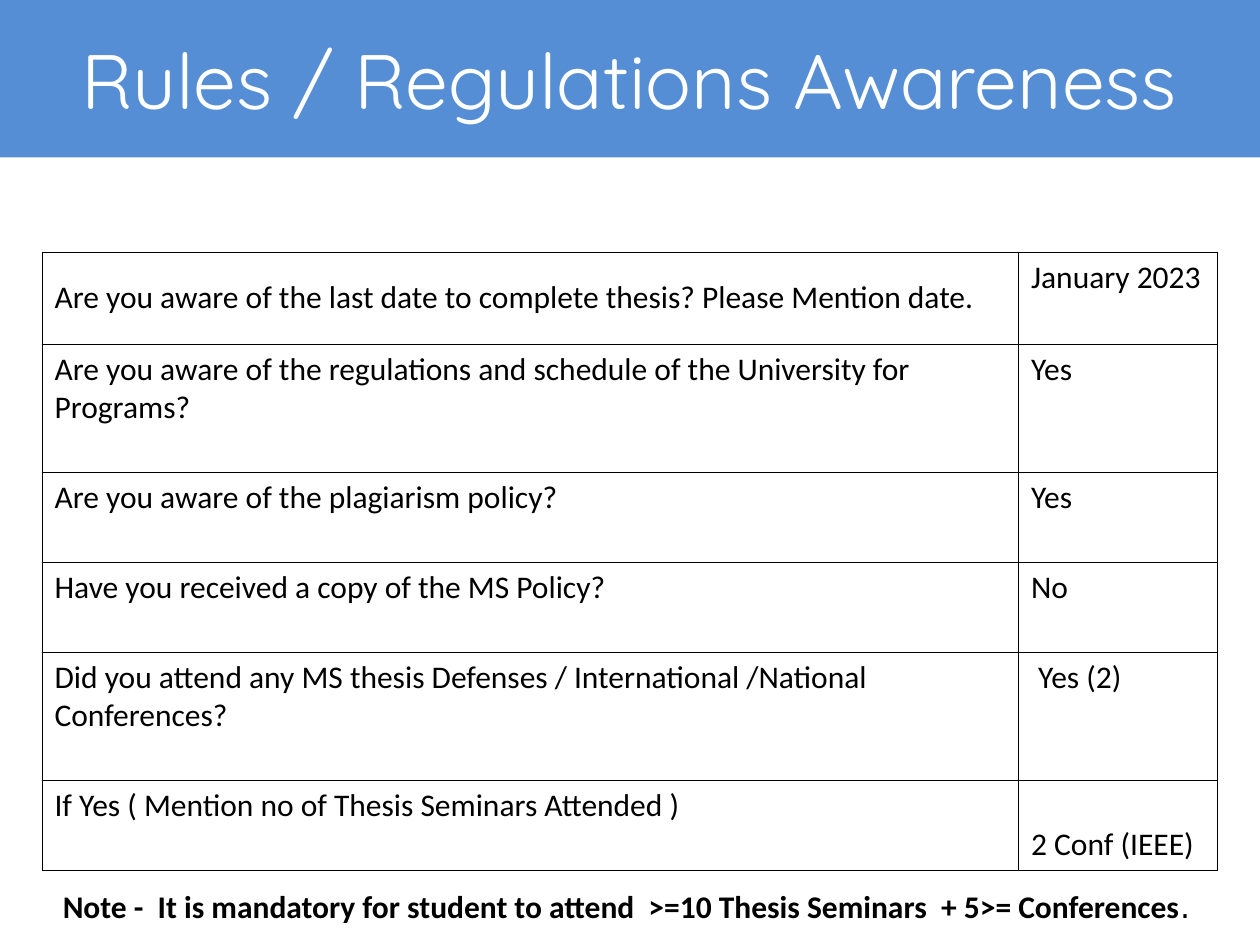
"""Builds the Rules / Regulations Awareness slide."""
from dataclasses import dataclass

from lxml.etree import SubElement
from pptx import Presentation
from pptx.dml.color import RGBColor as RGB
from pptx.enum.shapes import MSO_SHAPE as SHAPE
from pptx.enum.text import MSO_ANCHOR as ANCHOR, MSO_AUTO_SIZE as AUTO, PP_ALIGN as ALIGN
from pptx.oxml.ns import qn
from pptx.util import Inches, Pt


@dataclass(frozen=True)
class Theme:
    """Colours, fonts and type sizes of the slide."""
    band: RGB = RGB(0x55, 0x8E, 0xD5)
    ink: RGB = RGB(0, 0, 0)
    paper: RGB = RGB(255, 255, 255)
    title_font: str = "Quicksand"
    body_font: str = "Calibri"
    stop_font: str = "DejaVu Sans"
    title_size: Pt = Pt(44)
    body_size: Pt = Pt(18)
    rule: Pt = Pt(0.45)


T = Theme()
W, H = Inches(10), Inches(7.5)
COLS = (0.775, 0.158)
TALL, SHORT = 0.136, 0.095
TOP, MIDDLE, BOTTOM = ANCHOR.TOP, ANCHOR.MIDDLE, ANCHOR.BOTTOM
BODY = {"name": T.body_font, "size": T.body_size, "bold": False}
ROWS = (
    (0.0975, "Are you aware of the last date to complete thesis? Please Mention date.", MIDDLE,
     "January 2023", TOP),
    (TALL, "Are you aware of the regulations and schedule of the University for Programs?", TOP,
     "Yes", TOP),
    (SHORT, "Are you aware of the plagiarism policy?", TOP, "Yes", TOP),
    (SHORT, "Have you received a copy of the MS Policy?", TOP, "No", TOP),
    (TALL, "Did you attend any MS thesis Defenses / International /National Conferences?", TOP,
     " Yes (2)", TOP),
    (SHORT, "If Yes ( Mention no of Thesis Seminars Attended )", TOP, "2 Conf (IEEE)", BOTTOM),
)
NOTE = "Note -  It is mandatory for student to attend  >=10 Thesis Seminars  + 5>= Conferences"


def box(x, y, w, h):
    """Turn shares of the slide into a position and size."""
    return int(x * W), int(y * H), int(w * W), int(h * H)


def add_run(p, text, fmt, color=T.ink):
    """Add a run and set its font from a dict."""
    r = p.add_run()
    r.text = text
    for key, value in fmt.items():
        setattr(r.font, key, value)
    r.font.color.rgb = color


def add_title(s, text):
    """Add the coloured title band."""
    sp = s.shapes.add_shape(SHAPE.RECTANGLE, *box(0, 0, 1, 1 / 6))
    sp.shadow.inherit = False
    sp.fill.solid()
    sp.fill.fore_color.rgb = T.band
    sp.line.fill.background()
    tf = sp.text_frame
    tf.vertical_anchor = MIDDLE
    p = tf.paragraphs[0]
    p.alignment = ALIGN.CENTER
    add_run(p, text, {"name": T.title_font, "size": T.title_size}, T.paper)


def add_borders(cell):
    """Rule all four sides of a cell."""
    pr = cell._tc.get_or_add_tcPr()
    for side in ("lnL", "lnR", "lnT", "lnB"):
        ln = SubElement(pr, qn(f"a:{side}"), w=str(T.rule))
        fill = SubElement(ln, qn("a:solidFill"))
        SubElement(fill, qn("a:srgbClr"), val=str(T.ink))


def fill_cell(cell, text, anchor):
    """Write one cell with its borders and a clear fill."""
    add_borders(cell)
    cell.fill.background()
    cell.vertical_anchor = anchor
    add_run(cell.text_frame.paragraphs[0], text, BODY)


def add_questions(s):
    """Add the table of questions and answers."""
    height = sum(row[0] for row in ROWS)
    frame = s.shapes.add_table(len(ROWS), len(COLS), *box(1 / 30, 4 / 15, sum(COLS), height))
    table = frame.table
    table.first_row = table.horz_banding = False
    for col, share in zip(table.columns, COLS):
        col.width = int(share * W)
    for row, (share, question, q_anchor, answer, a_anchor) in zip(table.rows, ROWS):
        row.height = int(share * H)
        fill_cell(row.cells[0], question, q_anchor)
        fill_cell(row.cells[1], answer, a_anchor)


def add_note(s):
    """Add the bold note under the table."""
    tf = s.shapes.add_textbox(*box(0.04, 0.932, 0.923, 0.053)).text_frame
    tf.word_wrap = False
    tf.auto_size = AUTO.SHAPE_TO_FIT_TEXT
    p = tf.paragraphs[0]
    add_run(p, NOTE, {**BODY, "bold": True})
    add_run(p, ".", {**BODY, "name": T.stop_font})


def main():
    """Build and save the slide."""
    prs = Presentation()
    prs.slide_width, prs.slide_height = W, H
    s = prs.slides.add_slide(prs.slide_layouts[6])
    add_title(s, "Rules / Regulations Awareness")
    add_questions(s)
    add_note(s)
    prs.save("out.pptx")


if __name__ == "__main__":
    main()
